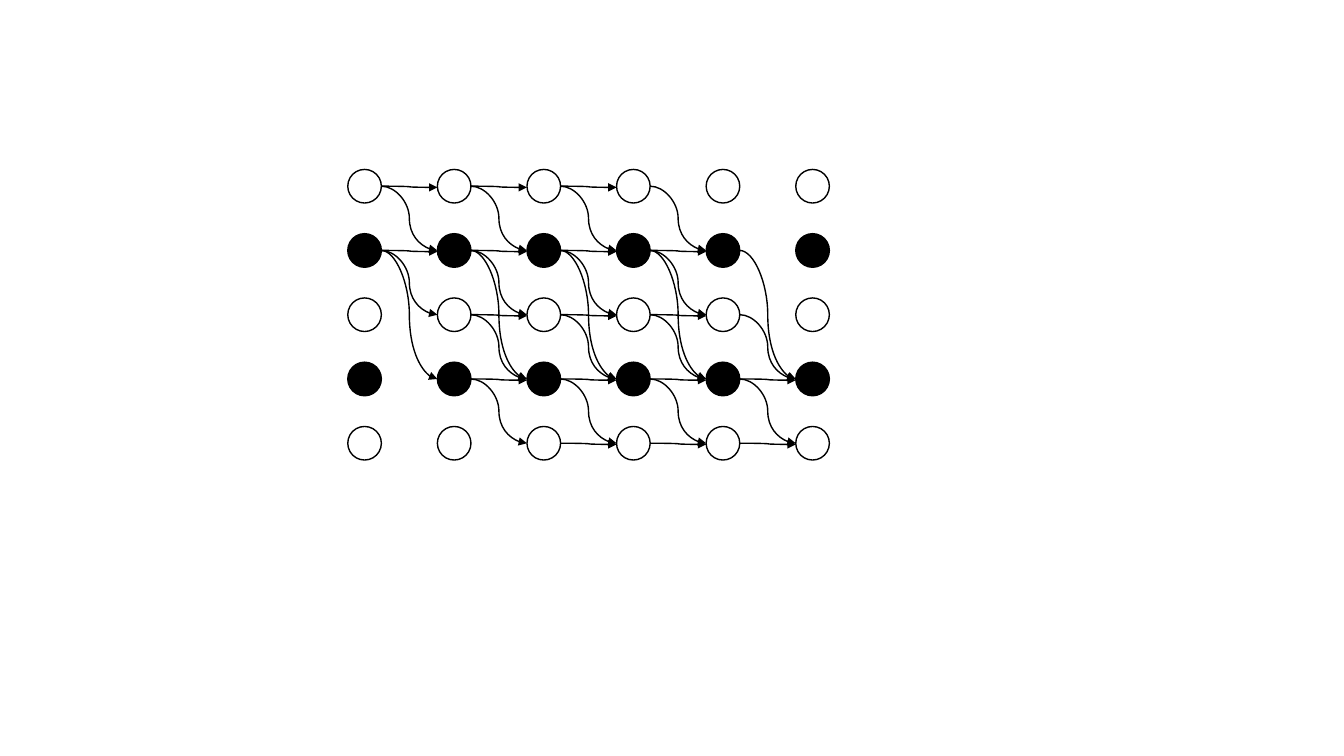
from lxml import etree
from pptx import Presentation
from pptx import util as u
from pptx.dml.color import RGBColor
from pptx.enum import shapes
from pptx.oxml import ns

BLACK = RGBColor(0, 0, 0)
WHITE = RGBColor(255, 255, 255)

COLUMNS, ROWS = 6, 5
LEFT, TOP = 248.4, 121
COLUMN_PITCH, ROW_PITCH = 64, 45.9
DIAMETER = 24
LEVEL_DROP = 0.9  # arrows within a row end slightly lower

# Rows that each row may step to
STEPS = {0: (0, 1), 1: (1, 2, 3), 2: (2, 3), 3: (3, 4), 4: (4,)}


class Lattice:
    LINE = {"width": u.Pt(1)}

    def __init__(self, slide):
        self.slide = slide

    def style_line(self, line):
        line.color.rgb = BLACK
        for name, value in self.LINE.items():
            setattr(line, name, value)

    def node(self, column, row):
        circle = self.slide.shapes.add_shape(
            shapes.MSO_SHAPE.OVAL,
            u.Pt(LEFT + column * COLUMN_PITCH), u.Pt(TOP + row * ROW_PITCH),
            u.Pt(DIAMETER), u.Pt(DIAMETER))
        circle.shadow.inherit = False
        circle.fill.solid()
        circle.fill.fore_color.rgb = BLACK if row % 2 else WHITE
        self.style_line(circle.line)

    def arrow(self, column, row, next_row):
        """Join a node to one in the next column."""
        start_x = LEFT + column * COLUMN_PITCH + DIAMETER
        end_x = LEFT + (column + 1) * COLUMN_PITCH
        start_y = TOP + row * ROW_PITCH + DIAMETER / 2
        end_y = TOP + next_row * ROW_PITCH + DIAMETER / 2
        if next_row == row:
            end_y += LEVEL_DROP
        curve = self.slide.shapes.add_connector(
            shapes.MSO_CONNECTOR.CURVE,
            u.Pt(start_x), u.Pt(start_y), u.Pt(end_x), u.Pt(end_y))
        self.style_line(curve.line)
        outline = curve.line._get_or_add_ln()
        etree.SubElement(outline, ns.qn("a:tailEnd"), type="triangle")
        etree.SubElement(curve._element.spPr, ns.qn("a:effectLst"))


def live_rows(column):
    """Rows reachable from the first two that can still end in the last two."""
    low = max(0, ROWS - 2 - 2 * (COLUMNS - 1 - column))
    high = min(ROWS - 1, 1 + 2 * column)
    return range(low, high + 1)


def main():
    deck = Presentation()
    deck.slide_width, deck.slide_height = u.Pt(960), u.Pt(540)
    lattice = Lattice(deck.slides.add_slide(deck.slide_layouts[6]))
    for column in range(COLUMNS):
        for row in range(ROWS):
            lattice.node(column, row)
    for column in range(COLUMNS - 1):
        for row in live_rows(column):
            for next_row in STEPS[row]:
                if next_row in live_rows(column + 1):
                    lattice.arrow(column, row, next_row)
    deck.save("out.pptx")


if __name__ == "__main__":
    main()
